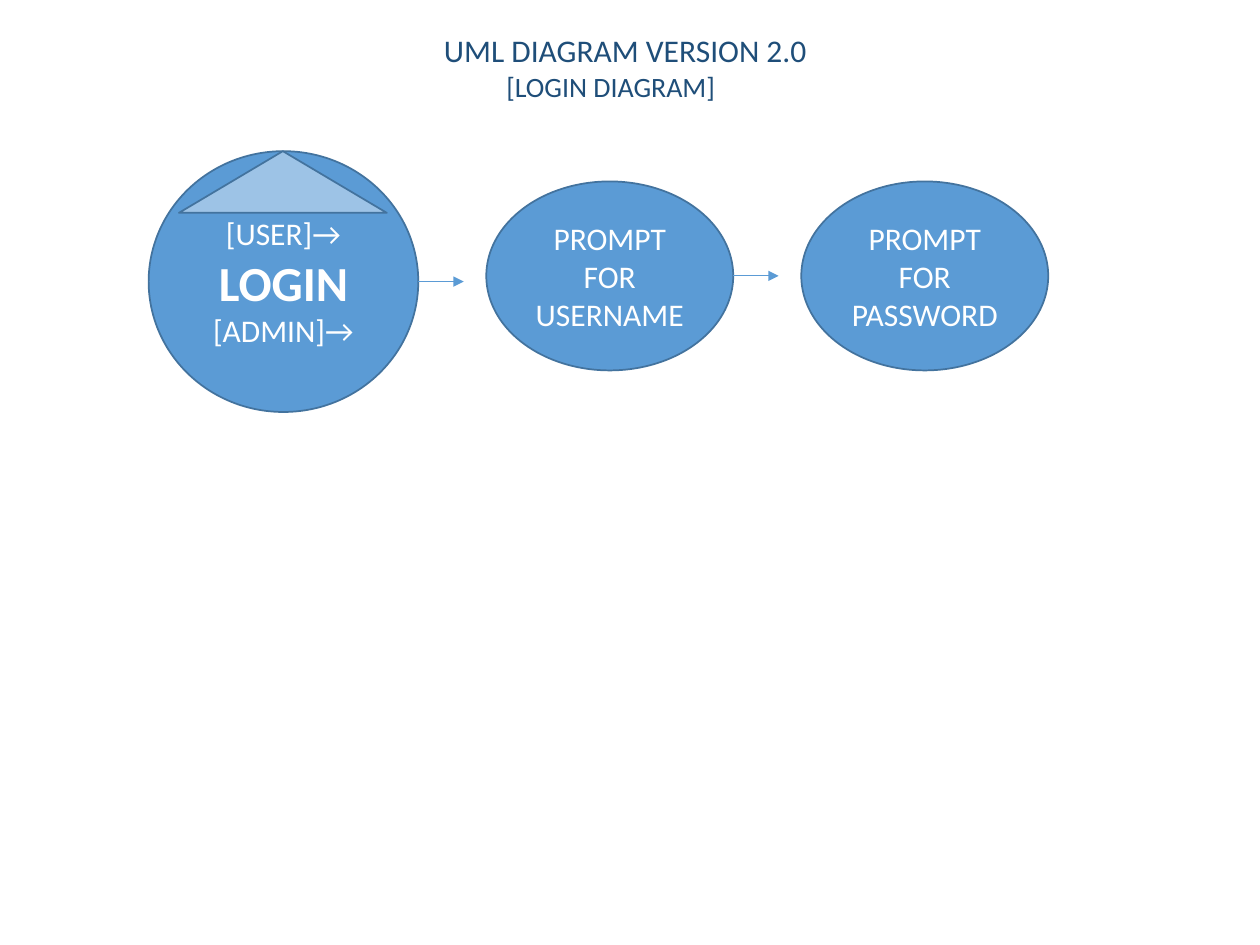
from dataclasses import dataclass

from lxml import etree
from pptx import Presentation, util as u
from pptx.dml.color import RGBColor
from pptx.enum import shapes, text
from pptx.oxml.ns import qn

WIDE, HIGH = u.Inches(10), u.Inches(7.5)


@dataclass(frozen=True)
class Theme:
    font: str = "Calibri"
    title: str = "1F4E79"
    fill: str = "5B9BD5"
    pale: str = "9DC3E6"
    edge: str = "43739E"
    white: str = "FFFFFF"
    body: int = 18
    sub: int = 16
    big: int = 28


@dataclass(frozen=True)
class Box:
    x: float
    y: float
    w: float
    h: float

    @property
    def right(self) -> float:
        return self.x + self.w

    @property
    def mid(self) -> float:
        return self.y + self.h / 2

    def place(self) -> tuple:
        return across(self.x), down(self.y), across(self.w), down(self.h)


@dataclass(frozen=True)
class Line:
    words: str
    size: int
    bold: bool = False
    indent: float = 0


THEME = Theme()
LOGIN = Box(11.8, 16, 21.4, 27.6)
ROOF = Box(14.2, 16, 16.5, 6.53)
PROMPTS = [Box(38.6 + 25 * i, 19.2, 19.6, 20) for i in range(2)]
ARROW = 3.6


def across(share: float) -> int:
    return round(WIDE * share / 100)


def down(share: float) -> int:
    return round(HIGH * share / 100)


def write(frame, lines: list[Line], color: str, align) -> None:
    frame.word_wrap = True
    for i, line in enumerate(lines):
        para = frame.paragraphs[0] if i == 0 else frame.add_paragraph()
        para.text = line.words
        para.alignment = align
        if line.indent:
            para._p.get_or_add_pPr().set("marL", str(across(line.indent)))
        font = para.font
        font.name, font.size, font.bold = THEME.font, u.Pt(line.size), line.bold
        font.color.rgb = RGBColor.from_string(color)


def draw_title(slide, box: Box, lines: list[Line]) -> None:
    frame = slide.shapes.add_textbox(*box.place()).text_frame
    write(frame, lines, THEME.title, text.PP_ALIGN.LEFT)


def draw_shape(slide, kind, box: Box, fill: str, lines: list[Line]) -> None:
    shape = slide.shapes.add_shape(kind, *box.place())
    shape.shadow.inherit = False
    shape.fill.solid()
    shape.fill.fore_color.rgb = RGBColor.from_string(fill)
    shape.line.color.rgb = RGBColor.from_string(THEME.edge)
    shape.line.width = u.Pt(1)
    shape.text_frame.vertical_anchor = text.MSO_ANCHOR.MIDDLE
    write(shape.text_frame, lines, THEME.white, text.PP_ALIGN.CENTER)


def draw_arrow(slide, start: Box) -> None:
    y = down(start.mid)
    arrow = slide.shapes.add_connector(
        shapes.MSO_CONNECTOR.STRAIGHT,
        across(start.right), y, across(start.right + ARROW), y)
    arrow.line.color.rgb = RGBColor.from_string(THEME.fill)
    arrow.line.width = u.Pt(0.5)
    etree.SubElement(arrow.line._get_or_add_ln(), qn("a:tailEnd"), type="triangle")
    etree.SubElement(arrow._element.spPr, qn("a:effectLst"))


def main() -> None:
    deck = Presentation()
    deck.slide_width, deck.slide_height = WIDE, HIGH
    slide = deck.slides.add_slide(deck.slide_layouts[6])
    oval = shapes.MSO_SHAPE.OVAL

    draw_title(slide, Box(33.7, 2.67, 41.1, 8.93), [
        Line("UML DIAGRAM VERSION 2.0", THEME.body, indent=0.55),
        Line("[LOGIN DIAGRAM]", THEME.sub, indent=5.5),
    ])
    draw_shape(slide, oval, LOGIN, THEME.fill, [
        Line("[USER]→", THEME.body),
        Line("LOGIN", THEME.big, bold=True),
        Line("[ADMIN]→", THEME.body),
    ])
    draw_shape(slide, shapes.MSO_SHAPE.ISOSCELES_TRIANGLE, ROOF, THEME.pale, [])
    for box, word in zip(PROMPTS, ("USERNAME", "PASSWORD")):
        draw_shape(slide, oval, box, THEME.fill,
                   [Line(f"PROMPT FOR {word}", THEME.body)])
    for start in (LOGIN, PROMPTS[0]):
        draw_arrow(slide, start)

    deck.save("out.pptx")


if __name__ == "__main__":
    main()
